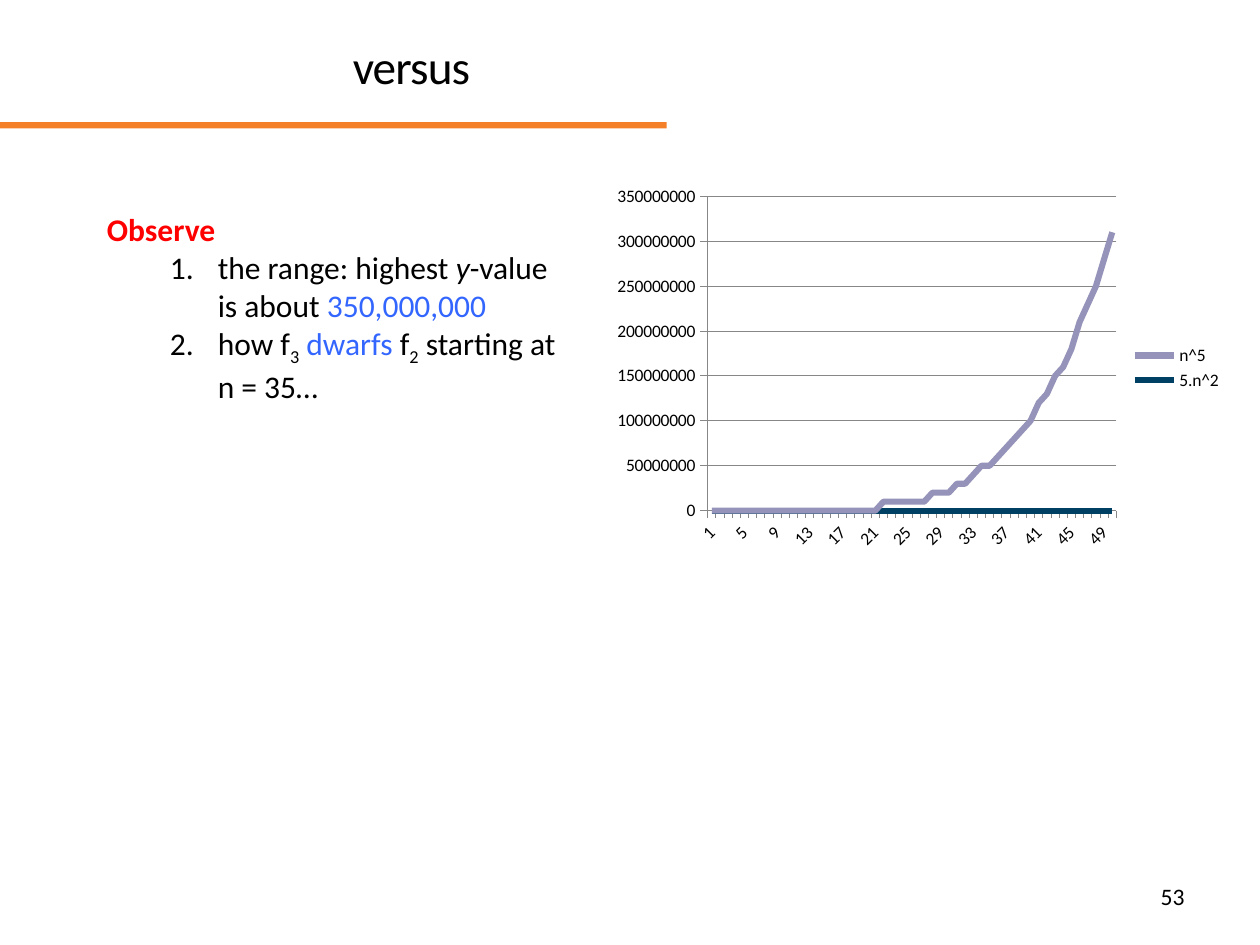
from lxml.etree import SubElement
from pptx import Presentation
from pptx.chart.data import CategoryChartData
from pptx.dml.color import RGBColor
from pptx.enum.chart import XL_CHART_TYPE as ChartType, XL_LEGEND_POSITION as LegendPosition
from pptx.enum.chart import XL_TICK_MARK as TickMark
from pptx.enum.shapes import MSO_SHAPE as Shape
from pptx.enum.text import MSO_ANCHOR as Anchor, PP_ALIGN as Align
from pptx.oxml.ns import qn
from pptx.util import Inches, Pt

# Content
TITLE = "versus"
PAGE_NUMBER = "53"
HEADING = "Observe"
# Each run: text, style ("", "italic", "accent" or "subscript")
OBSERVATIONS = [
    [("the range: highest ", ""), ("y", "italic"), ("-value is about ", ""),
     ("350,000,000", "accent")],
    [("how f", ""), ("3", "subscript"), (" dwarfs", "accent"), (" f", ""),
     ("2", "subscript"), (" starting at n = 35…", "")],
]
STEPS = range(1, 51)
# Each series: name, values to the nearest ten million, colour
SERIES = [
    ("5.n^2", [round(5 * n ** 2, -7) for n in STEPS], "004065"),
    ("n^5", [round(n ** 5, -7) for n in STEPS], "9593B9"),
]

THEME = {
    "font": "Calibri", "text": "000000", "heading": "FF0000", "accent": "3366FF",
    "rule": "F4812A", "grid": "878787",
    "title_size": 27, "body_size": 18, "page_size": 13.5, "chart_size": 10,
}


def rgb(name):
    return RGBColor.from_string(THEME[name])


def set_font(font, size, color="text"):
    font.name = THEME["font"]
    font.size = Pt(THEME[size])
    font.color.rgb = rgb(color)


def set_grid_line(line):
    line.color.rgb = rgb("grid")
    line.width = Pt(0.5)


def add_text_box(slide, left, top, width, height):
    frame = slide.shapes.add_textbox(*map(Inches, (left, top, width, height))).text_frame
    frame.word_wrap = True
    return frame


def number_paragraph(paragraph, margin, indent):
    properties = paragraph._p.get_or_add_pPr()
    properties.set("lvl", "1")
    properties.set("marL", str(Inches(margin)))
    properties.set("indent", str(Inches(indent)))
    SubElement(properties, qn("a:buFont"), typeface="+mj-lt")
    SubElement(properties, qn("a:buAutoNum"), type="arabicPeriod")


presentation = Presentation()
presentation.slide_width, presentation.slide_height = Inches(10), Inches(7.5)
slide = presentation.slides.add_slide(presentation.slide_layouts[5])

# Title and the rule below it
title = slide.shapes.title
title.left, title.top, title.width, title.height = map(Inches, (0.5, 0.3, 9, 0.67))
frame = title.text_frame
frame.text = TITLE
frame.vertical_anchor = Anchor.TOP
frame.margin_left = Inches(2.3)
paragraph = frame.paragraphs[0]
paragraph.alignment = Align.LEFT
paragraph.line_spacing = 0.9
set_font(paragraph.font, "title_size")
paragraph.runs[0].font._element.set("spc", "-50")

rule = slide.shapes.add_shape(Shape.RECTANGLE, *map(Inches, (0, 0.97, 5.29, 0.05)))
rule.shadow.inherit = False
rule.fill.solid()
rule.fill.fore_color.rgb = rgb("rule")
rule.line.fill.background()

# Page number
paragraph = add_text_box(slide, 7.17, 6.95, 2.33, 0.4).paragraphs[0]
paragraph.text = PAGE_NUMBER
paragraph.alignment = Align.RIGHT
set_font(paragraph.font, "page_size")

# Growth chart
data = CategoryChartData()
data.categories = [str(n) for n in STEPS]
for name, values, _ in SERIES:
    data.add_series(name, values)
chart = slide.shapes.add_chart(
    ChartType.LINE_STACKED, *map(Inches, (4.8, 1.42, 5, 3)), data).chart
set_font(chart.font, "chart_size")
chart.has_title = False
chart.has_legend = True
chart.legend.position = LegendPosition.RIGHT
chart.legend.include_in_layout = False
chart.plots[0].vary_by_categories = False
for series, (_, _, color) in zip(chart.plots[0].series, SERIES):
    series.smooth = False
    series.format.line.width = Pt(3.5)
    series.format.line.color.rgb = RGBColor.from_string(color)

for axis in (chart.category_axis, chart.value_axis):
    axis.major_tick_mark = TickMark.OUTSIDE
    axis.minor_tick_mark = TickMark.NONE
    set_grid_line(axis.format.line)
    set_font(axis.tick_labels.font, "chart_size")
chart.value_axis.has_major_gridlines = True
set_grid_line(chart.value_axis.major_gridlines.format.line)
# Slant the category labels by 45 degrees
chart.category_axis._element.txPr.bodyPr.set("rot", "-2700000")

# Observations
frame = add_text_box(slide, 0.75, 1.62, 3.78, 1.62)
heading = frame.paragraphs[0]
heading.text = HEADING
heading.font.bold = True
set_font(heading.font, "body_size", "heading")
for runs in OBSERVATIONS:
    paragraph = frame.add_paragraph()
    number_paragraph(paragraph, 0.88, -0.38)
    set_font(paragraph.font, "body_size")
    for text, style in runs:
        run = paragraph.add_run()
        run.text = text
        if style == "italic":
            run.font.italic = True
        elif style == "accent":
            run.font.color.rgb = rgb("accent")
        elif style == "subscript":
            run.font._element.set("baseline", "-25000")

presentation.save("out.pptx")
